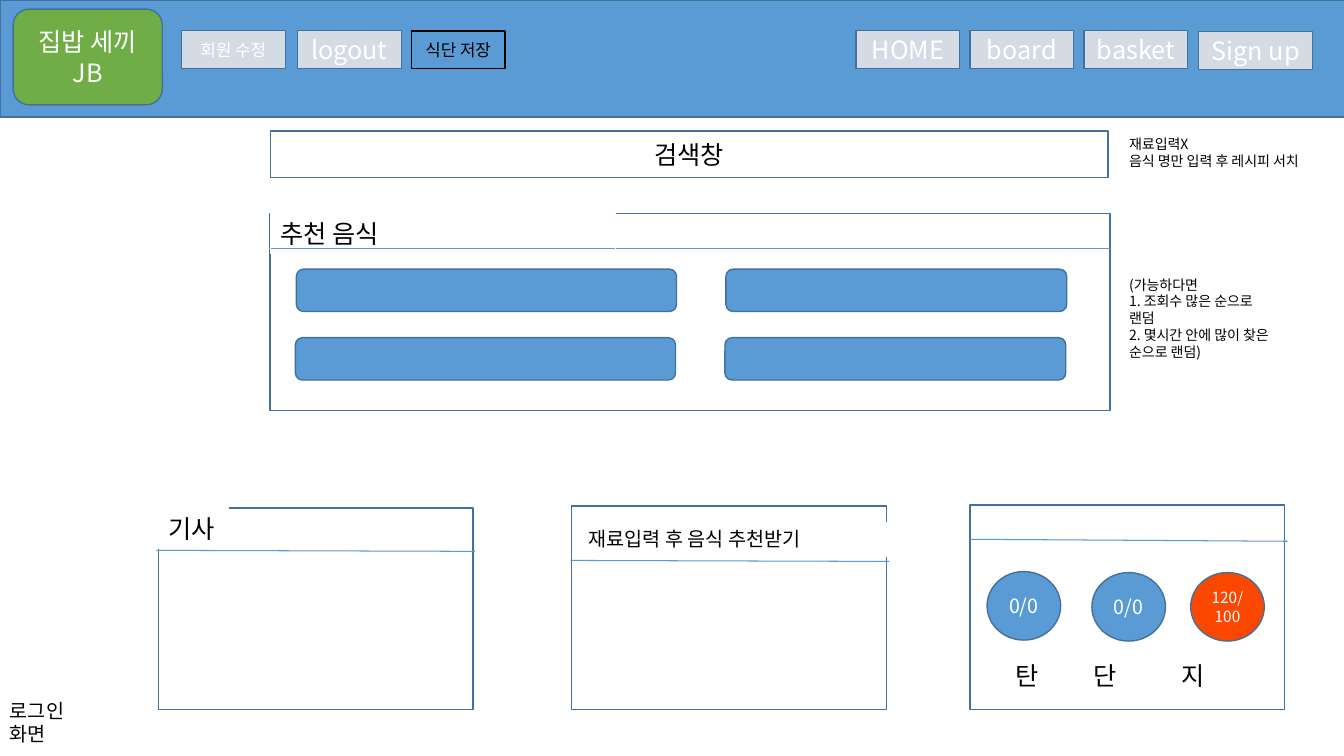
import pptx
import pptx.dml.color
import pptx.enum.shapes
import pptx.enum.text
import pptx.oxml.ns
import pptx.util
import lxml.etree

Inches = pptx.util.Inches
Kind = pptx.enum.shapes.MSO_SHAPE
Align = pptx.enum.text.PP_ALIGN
Anchor = pptx.enum.text.MSO_ANCHOR
qn = pptx.oxml.ns.qn

theme = {
    "font": "Noto Sans CJK KR",
    "blue": "5B9BD5", "edge": "42719B", "gray": "D5DBE5", "green": "70AD47",
    "red": "FC4700", "white": "FFFFFF", "black": "000000",
    "big": 18, "mid": 14, "small": 12, "tiny": 11, "note": 10,
    "thick": 1, "thin": 0.75,
}

deck = pptx.Presentation()
deck.slide_width, deck.slide_height = Inches(13.33), Inches(7.5)
slide = deck.slides.add_slide(deck.slide_layouts[6])


def paint(name):
    return pptx.dml.color.RGBColor.from_string(theme[name])


def box(at, kind=Kind.RECTANGLE, fill=None, line="edge", width="thick", round=None,
        text="", size="big", color="black", center=True, inset=0.05):
    """Add a shape, or a text box when kind is None, with one paragraph per text line."""
    place = [Inches(n) for n in at]
    if kind is None:
        shape = slide.shapes.add_textbox(*place)
    else:
        shape = slide.shapes.add_shape(kind, *place)
        shape.shadow.inherit = False
        shape.line.color.rgb = paint(line)
        shape.line.width = pptx.util.Pt(theme[width])
        if fill:
            shape.fill.solid()
            shape.fill.fore_color.rgb = paint(fill)
        else:
            shape.fill.background()
        if round is not None:
            shape.adjustments[0] = round
    if not text:
        return shape
    frame = shape.text_frame
    frame.word_wrap = True
    frame.vertical_anchor = Anchor.MIDDLE if center else Anchor.TOP
    frame.margin_left = frame.margin_right = Inches(0.1)
    frame.margin_top = frame.margin_bottom = Inches(inset)
    for i, words in enumerate(text.split("\n")):
        para = frame.paragraphs[0] if i == 0 else frame.add_paragraph()
        para.alignment = Align.CENTER if center else Align.LEFT
        run = para.add_run()
        run.text = words
        run.font.name = theme["font"]
        run.font.size = pptx.util.Pt(theme[size])
        run.font.color.rgb = paint(color)
        east = lxml.etree.SubElement(run.font._element, qn("a:ea"))
        east.set("typeface", theme["font"])
    return shape


# Header with logo block and buttons
box((0, 0, 13.34, 1.16), fill="blue")
box((0.13, 0.09, 1.48, 0.95), Kind.ROUNDED_RECTANGLE, "green",
    text="집밥 세끼\nJB", color="white")
buttons = [
    (1.8, 0.3, 1.03, "회원 수정", "small"),
    (2.95, 0.3, 1.03, "logout", "big"),
    (8.49, 0.3, 1.03, "HOME", "big"),
    (9.62, 0.3, 1.03, "board", "big"),
    (10.75, 0.3, 1.03, "basket", "big"),
    (11.89, 0.31, 1.13, "Sign up", "big"),
]
for left, top, wide, label, size in buttons:
    box((left, top, wide, 0.38), fill="gray", text=label, size=size, color="white")
box((4.08, 0.31, 0.93, 0.37), Kind.ROUNDED_RECTANGLE, line="black", round=0,
    text="식단 저장", size="small")

# Search bar
box((2.68, 1.3, 8.31, 0.46), fill="white", text="검색창")

# Panels and their divider lines
panels = [
    (2.68, 2.12, 8.33, 1.95),
    (5.67, 5.02, 3.12, 2.02),
    (1.57, 5.04, 3.12, 2),
    (9.62, 5.01, 3.12, 2.03),
]
for at in panels:
    box(at, Kind.ROUNDED_RECTANGLE, round=0)

rules = [
    (2.67, 2.47, 11.01, 2.47),
    (5.66, 5.56, 8.82, 5.57),
    (1.55, 5.46, 4.71, 5.47),
    (9.62, 5.35, 12.77, 5.37),
]
for ends in rules:
    rule = slide.shapes.add_connector(pptx.enum.shapes.MSO_CONNECTOR.STRAIGHT,
                                      *[Inches(n) for n in ends])
    rule.line.color.rgb = paint("blue")
    rule.line.width = pptx.util.Pt(theme["thin"])
    lxml.etree.SubElement(rule._element.spPr, qn("a:effectLst"))

# Panel titles
titles = [
    ((1.57, 5.04, 0.7, 0.4), "기사", "big"),
    ((2.68, 2.12, 3.43, 0.4), "추천 음식", "big"),
    ((5.74, 5.18, 3.05, 0.34), "재료입력 후 음식 추천받기", "mid"),
]
for at, label, size in titles:
    box(at, line="white", width="thin", text=label, size=size, center=False)

# Recommended dishes
for top, shift in ((2.67, 0), (3.35, 0.01)):
    for left, wide in ((2.94, 3.77), (7.2, 3.38)):
        box((left - shift, top, wide, 0.42), Kind.ROUNDED_RECTANGLE, "blue")

# Nutrient gauges
gauges = [
    (9.79, 5.67, "blue", "0/0", "mid"),
    (10.83, 5.68, "blue", "0/0", "mid"),
    (11.81, 5.68, "red", "120/100", "tiny"),
]
for left, top, fill, label, size in gauges:
    box((left, top, 0.73, 0.68), Kind.OVAL, fill, text=label, size=size, color="white")
names = box((9.97, 6.5, 2.45, 0.4), line="white", width="thin",
            text="탄\t단\t지", center=False)
props = names.text_frame.paragraphs[0]._p.get_or_add_pPr()
tabs = lxml.etree.SubElement(props, qn("a:tabLst"))
for stop in (0.78, 1.65):
    tab = lxml.etree.SubElement(tabs, qn("a:tab"))
    tab.set("pos", str(Inches(stop)))
    tab.set("algn", "l")

# Side notes
notes = [
    ((11.1, 1.3, 2.11, 0.44), "재료입력X\n음식 명만 입력 후 레시피 서치", "note", 0.05),
    ((11.1, 2.69, 1.59, 0.94),
     "(가능하다면\n1. 조회수 많은 순으로 랜덤\n2. 몇시간 안에 많이 찾은 순으로 랜덤)", "note", 0.05),
    ((0, 6.83, 0.93, 0.67), "로그인 화면", "mid", 0.1),
]
for at, words, size, inset in notes:
    box(at, None, text=words, size=size, center=False, inset=inset)

deck.save("out.pptx")
